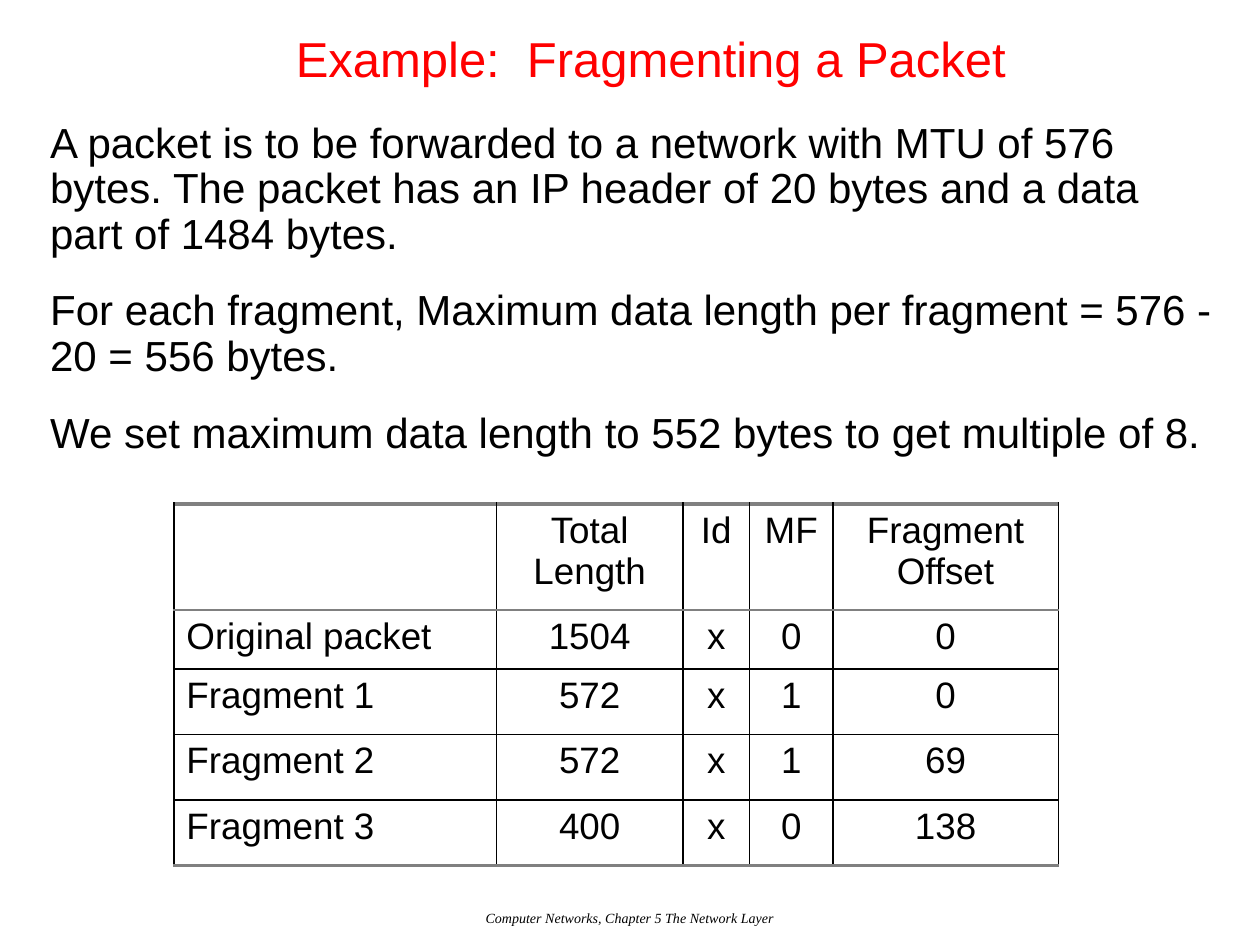
from dataclasses import dataclass

from lxml import etree
from pptx import Presentation
from pptx.dml.color import RGBColor
from pptx.enum.text import MSO_ANCHOR, PP_ALIGN
from pptx.oxml.ns import qn
from pptx.util import Inches, Pt

LEFT, CENTER = PP_ALIGN.LEFT, PP_ALIGN.CENTER
TOP, MIDDLE = MSO_ANCHOR.TOP, MSO_ANCHOR.MIDDLE


@dataclass(frozen=True)
class Theme:
    sans: str = "Arial"
    serif: str = "Times New Roman"
    black: str = "000000"
    red: str = "FF0000"
    gray: str = "808080"
    title: int = 28
    body: int = 24
    cell: int = 21
    footer: int = 8


theme = Theme()


def write(frame, texts, size, align=LEFT, anchor=TOP, face=theme.sans, color=theme.black):
    """Fill a text frame with one paragraph per text and return the paragraphs."""
    frame.word_wrap = True
    frame.vertical_anchor = anchor
    for index, text in enumerate(texts):
        para = frame.paragraphs[0] if index == 0 else frame.add_paragraph()
        para.text = text
        para.alignment = align
        para.font.name = face
        para.font.size = Pt(size)
        para.font.color.rgb = RGBColor.from_string(color)
    return frame.paragraphs


def add_border(cell, side, color, width):
    line = etree.SubElement(cell._tc.get_or_add_tcPr(), qn(f"a:ln{side}"), w=str(Pt(width)))
    fill = etree.SubElement(line, qn("a:solidFill"))
    etree.SubElement(fill, qn("a:srgbClr"), val=color)


deck = Presentation()
deck.slide_width, deck.slide_height = Inches(10), Inches(7.5)
page = deck.slides.add_slide(deck.slide_layouts[6])

# Footer
footer = page.shapes.add_textbox(Inches(0), Inches(7.17), Inches(10), Inches(0.33))
footer_paras = write(footer.text_frame, ["Computer Networks, Chapter 5 The Network Layer"],
                     theme.footer, CENTER, face=theme.serif)
footer_paras[0].font.italic = True

# Title
title = page.shapes.add_textbox(Inches(0.75), Inches(0.25), Inches(8.83), Inches(0.42))
write(title.text_frame, ["Example:  Fragmenting a Packet"],
      theme.title, CENTER, MIDDLE, color=theme.red)

# Explanation
body = page.shapes.add_textbox(Inches(0.3), Inches(0.92), Inches(9.47), Inches(2.06))
explanation = [
    "A packet is to be forwarded to a network with MTU of 576 bytes. "
    "The packet has an IP header of 20 bytes and a data part of 1484 bytes.",
    "For each fragment, Maximum data length per fragment = 576 - 20 = 556 bytes.",
    "We set maximum data length to 552 bytes to get multiple of 8.",
]
for index, para in enumerate(write(body.text_frame, explanation, theme.body)):
    para.line_spacing = 0.9
    para.space_before = Pt(18 if index else 0)

# Fragment table
rows = [
    ["", "Total Length", "Id", "MF", "Fragment Offset"],
    ["Original packet", "1504", "x", "0", "0"],
    ["Fragment 1", "572", "x", "1", "0"],
    ["Fragment 2", "572", "x", "1", "69"],
    ["Fragment 3", "400", "x", "0", "138"],
]
column_widths = [2.56, 1.48, 0.53, 0.66, 1.79]
row_heights = [0.84, 0.47, 0.52, 0.52, 0.52]
# Horizontal rules from the top edge to the bottom edge: colour and width
thin = (theme.black, 1)
thick_gray = (theme.gray, 2)
rules = [thick_gray, (theme.gray, 1), thin, thin, thin, thick_gray]

table = page.shapes.add_table(
    len(rows), len(column_widths), Inches(1.38), Inches(4),
    Inches(sum(column_widths)), Inches(sum(row_heights))).table
table.first_row = False
table.horz_banding = False
for column, width in zip(table.columns, column_widths):
    column.width = Inches(width)
for row, height in zip(table.rows, row_heights):
    row.height = Inches(height)

for r, texts in enumerate(rows):
    for c, text in enumerate(texts):
        cell = table.cell(r, c)
        write(cell.text_frame, [text], theme.cell, CENTER if c else LEFT)
        for side, rule in zip("LRTB", [thin, thin, rules[r], rules[r + 1]]):
            add_border(cell, side, *rule)
        cell.fill.background()

deck.save("out.pptx")
